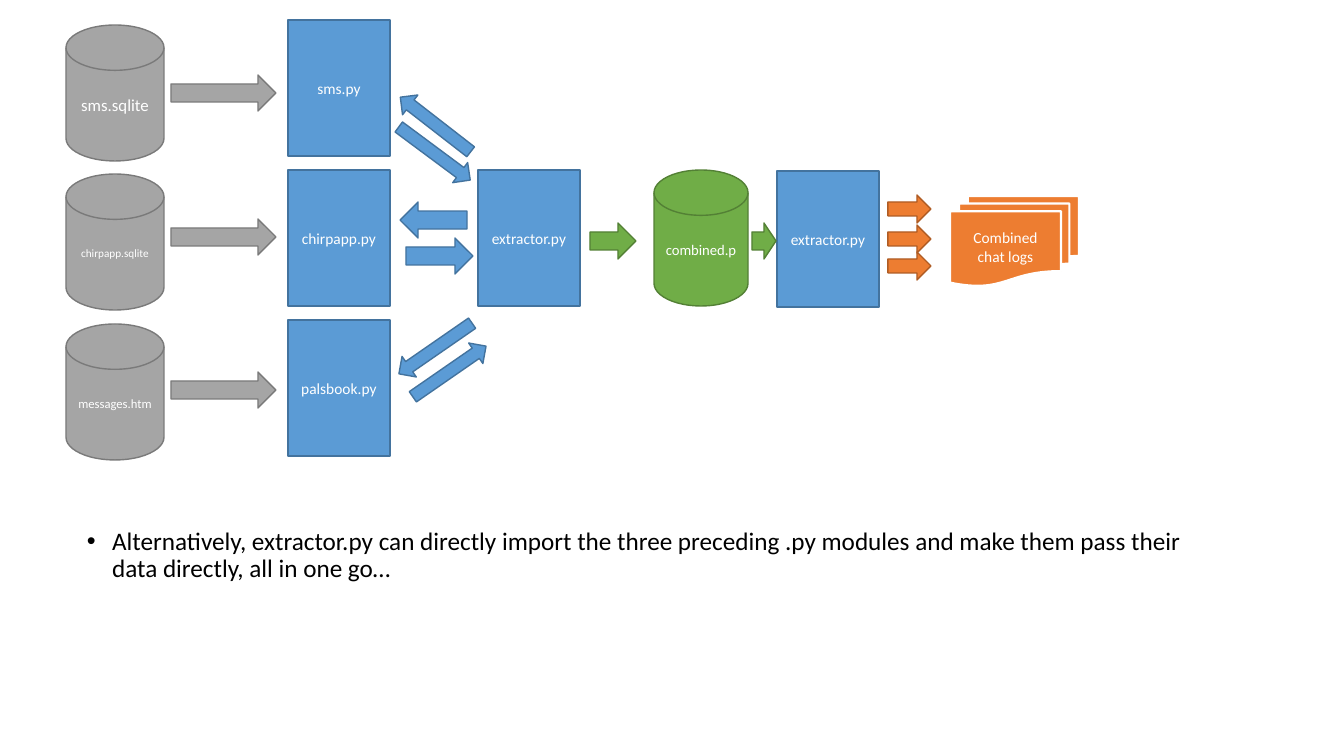
import pptx
import pptx.util
import pptx.dml.color
import pptx.enum.shapes
import pptx.enum.text
import lxml.etree

Kind = pptx.enum.shapes.MSO_SHAPE
BOX, DISK = Kind.RECTANGLE, Kind.FLOWCHART_MAGNETIC_DISK
ARROW, DOCS = Kind.RIGHT_ARROW, Kind.FLOWCHART_MULTIDOCUMENT

# Content: colour name -> fill, line
TONES = {
    "blue": ("5B9BD5", "43739E"),
    "grey": ("A5A5A5", "7A7A7A"),
    "green": ("70AD47", "538035"),
    "orange": ("ED7D31", "AF5C24"),
    "docs": ("ED7D31", "FFFFFF"),
}
# Source file, text size, disk top, arrow top, script
ROWS = [
    ("sms.sqlite", 12, 25, 75, "sms.py"),
    ("chirpapp.sqlite", 8, 174, 219, "chirpapp.py"),
    ("messages.htm", 9, 324, 372, "palsbook.py"),
]
# Calls between scripts and extractor: left, top, width, height, turn
CALLS = [
    (391, 112, 89, 25, 217.8), (390, 141, 89, 25, 36.6),
    (400, 202, 67, 36, 180), (406, 238, 67, 36, 0),
    (391, 336, 89, 25, 145.3), (405, 359, 89, 25, 325.3),
]
# Left and top of the two extractor boxes
MAINS = [(478, 170), (777, 171)]
# Arrows around the combined disk: left, width
LINKS = [(590, 46), (752, 24)]
OUTS = [195, 225, 252]
NOTE = ("Alternatively, extractor.py can directly import the three preceding "
        ".py modules and make them pass their data directly, all in one go…")

# Slide: 100.8 pixels to the inch
UNIT = 914400 / 100.8


def px(num):
    return pptx.util.Emu(round(num * UNIT))


def color(code):
    return pptx.dml.color.RGBColor.from_string(code)


deck = pptx.Presentation()
deck.slide_width, deck.slide_height = px(1344), px(756)
slide = deck.slides.add_slide(deck.slide_layouts[6])


# Helpers
def write(para, text, size, code):
    run = para.add_run()
    run.text = text
    run.font.size = pptx.util.Pt(size)
    run.font.name = "Calibri"
    run.font.color.rgb = color(code)


def draw(kind, tone, area, text="", size=11, turn=0):
    shape = slide.shapes.add_shape(kind, *map(px, area))
    shape.shadow.inherit = False
    shape.rotation = turn
    fill, line = TONES[tone]
    shape.fill.solid()
    shape.fill.fore_color.rgb = color(fill)
    shape.line.color.rgb = color(line)
    shape.line.width = pptx.util.Pt(1.5 if kind == DOCS else 1)
    if text:
        frame = shape.text_frame
        frame.word_wrap = True
        frame.vertical_anchor = pptx.enum.text.MSO_ANCHOR.MIDDLE
        para = frame.paragraphs[0]
        para.alignment = pptx.enum.text.PP_ALIGN.CENTER
        if kind == BOX:
            para.line_spacing = 1.07
            para.space_after = pptx.util.Pt(8)
        write(para, text, size, "FFFFFF")


# Sources and their scripts
for row, (file, size, top, mid, script) in enumerate(ROWS):
    draw(DISK, "grey", (66, top, 98, 136), file, size)
    draw(ARROW, "grey", (171, mid, 105, 36))
    draw(BOX, "blue", (288, 20 + 150 * row, 102, 136), script)

# Calls and extractors
for *area, turn in CALLS:
    draw(ARROW, "blue", area, turn=turn)
for left, top in MAINS:
    draw(BOX, "blue", (left, top, 102, 136), "extractor.py")

# Combined data
draw(DISK, "green", (654, 170, 94, 136), "combined.p", 10.5)
for left, width in LINKS:
    draw(ARROW, "green", (left, 223, width, 36))

# Chat logs
for top in OUTS:
    draw(ARROW, "orange", (888, top, 43, 28))
draw(DOCS, "docs", (950, 196, 129, 90), "Combined chat logs")

# Bulleted note
note = slide.shapes.add_textbox(*map(px, (77, 524, 1159, 185)))
note.text_frame.word_wrap = True
para = note.text_frame.paragraphs[0]
para.line_spacing = 0.9
para.space_before = pptx.util.Pt(10)
props = para._p.get_or_add_pPr()
props.set("marL", "228600")
props.set("indent", "-228600")
ns = "{http://schemas.openxmlformats.org/drawingml/2006/main}"
lxml.etree.SubElement(props, ns + "buFont", typeface="Arial")
lxml.etree.SubElement(props, ns + "buChar", char="•")
write(para, NOTE, 18, "000000")

deck.save("out.pptx")
